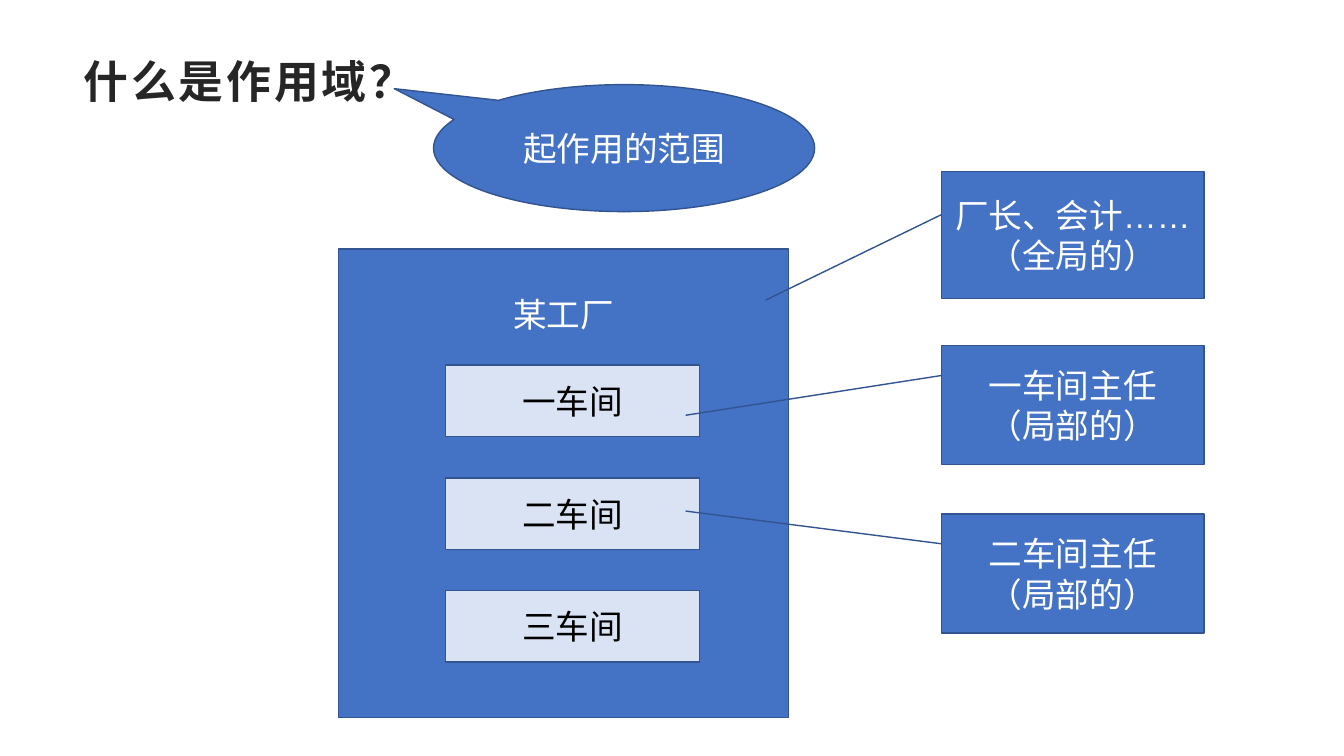
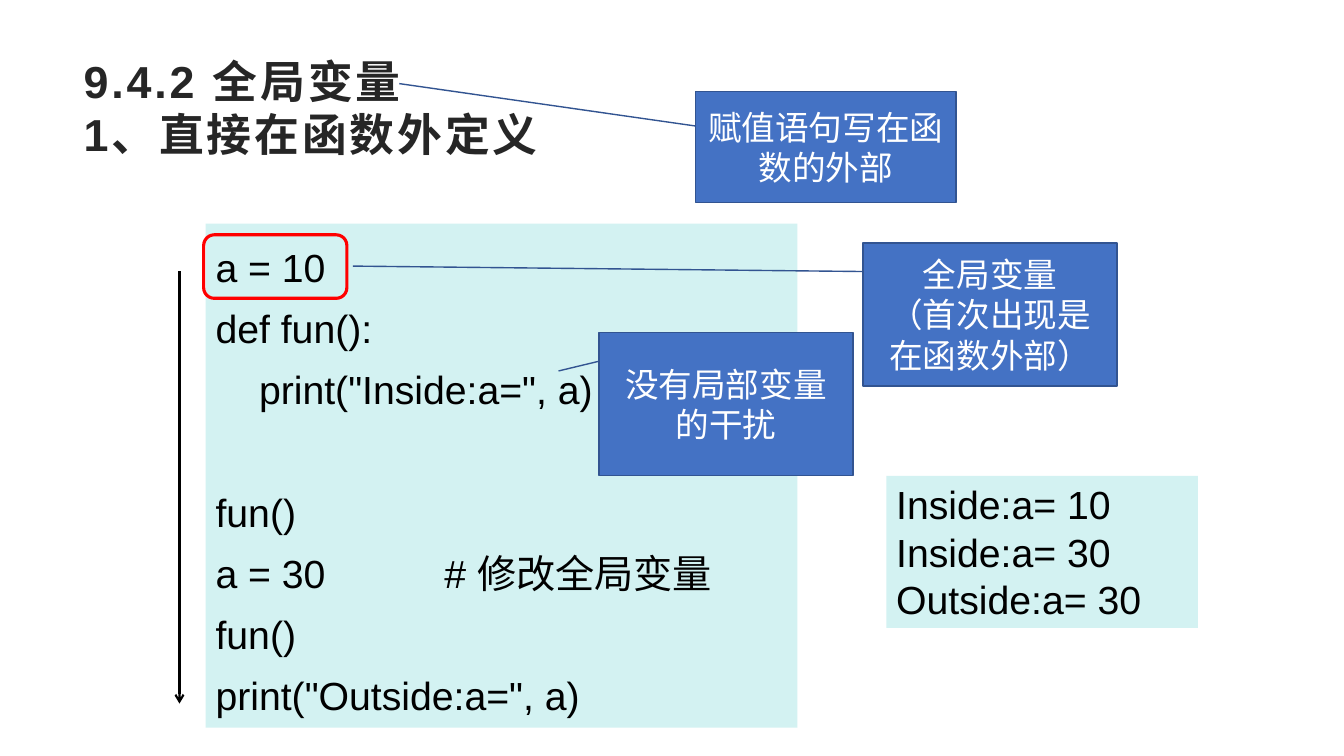
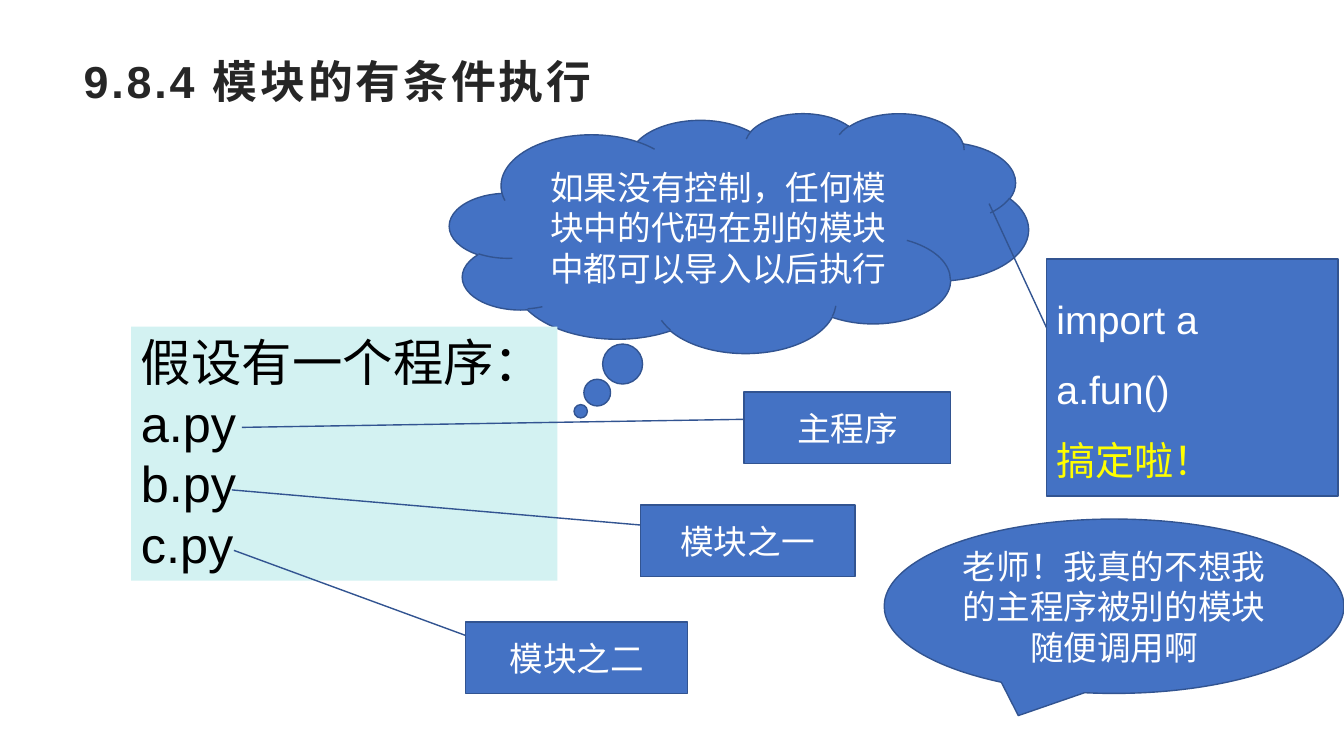
from dataclasses import dataclass

from lxml import etree
from pptx import Presentation
from pptx import util as u
from pptx.dml.color import RGBColor
from pptx.enum import shapes, text
from pptx.oxml import ns


@dataclass(frozen=True)
class Theme:
    font: str = "Arial"
    title: str = "262626"
    blue: str = "4472C4"
    edge: str = "325491"
    pale: str = "DAE3F3"
    mint: str = "D3F2F2"
    white: str = "FFFFFF"
    black: str = "000000"
    red: str = "FF0000"
    yellow: str = "FFFF00"
    title_size: int = 32
    label_size: int = 24
    code_size: int = 28
    list_size: int = 36


THEME = Theme()
SHAPE = shapes.MSO_SHAPE
LEFT, CENTER = text.PP_ALIGN.LEFT, text.PP_ALIGN.CENTER
TOP, MIDDLE = text.MSO_ANCHOR.TOP, text.MSO_ANCHOR.MIDDLE
PAGE_SIZE = (13.33, 7.5)
TITLE_BOX = (0.73, 0.48, 11.87, 0.74)

# Boxes are left, top, width, height; tips are the points that callouts aim at.
SCOPE_TITLE = ["什么是作用域？"]
SCOPE_BUBBLE = (["起作用的范围"], (4.3, 0.84, 3.78, 1.26), (3.91, 0.88))
FACTORY = (["某工厂"], (3.36, 2.47, 4.46, 4.65))
WORKSHOPS = ["一车间", "二车间", "三车间"]
WORKSHOP_BOX, WORKSHOP_STEP = (4.42, 3.62, 2.52, 0.71), 1.12
# Line callouts: text, box, tip, start of the line as a share of the height.
STAFF = [
    (["厂长、会计……", "（全局的）"], (9.34, 1.7, 2.6, 1.26), (7.59, 2.98), 0.34),
    (["一车间主任", "（局部的）"], (9.34, 3.43, 2.6, 1.18), (6.8, 4.12), 0.25),
    (["二车间主任", "（局部的）"], (9.34, 5.1, 2.6, 1.18), (6.8, 5.07), 0.25),
]

GLOBAL_TITLE = ["9.4.2 全局变量", "1、直接在函数外定义"]
CODE_BOX = (2.04, 2.22, 5.87, 5)
CODE_BEFORE = ["a = 10", "def fun():", '    print("Inside:a=", a)']
CODE_AFTER = ["fun()", "a = 30\t# 修改全局变量", "fun()", 'print("Outside:a=", a)']
CODE_GAP, COMMENT_TAB = 44, 2.27
OUTPUT = (["Inside:a= 10", "Inside:a= 30", "Outside:a= 30"], (8.79, 4.72, 3.09, 1.51))
FIRST_LINE_FRAME = (2.02, 2.33, 1.42, 0.63)
FLOW_X, FLOW_TOP, FLOW_BOTTOM = 1.78, 2.69, 6.98
REMARKS = [
    (["赋值语句写在函数的外部"], (6.9, 0.91, 2.58, 1.1), (3.96, 0.83), 0.31),
    (["全局变量", "（首次出现是在函数外部）"], (8.56, 2.41, 2.52, 1.42), (3.5, 2.64), 0.2),
    (["没有局部变量的干扰"], (5.94, 3.3, 2.52, 1.42), (5.54, 3.68), 0.2),
]

MODULE_TITLE = ["9.8.4 模块的有条件执行"]
CLOUD = (["如果没有控制，任何模块中的代码在别的模块中都可以导入以后执行"],
         (4.46, 1.12, 5.74, 2.38), (5.76, 4.08))
PLEA = (["老师！我真的不想我的主程序被别的模块随便调用啊"],
        (8.77, 5.15, 4.56, 1.73), (10.1, 7.1))
IMPORTING = (["import a", "a.fun()", "搞定啦！"],
             (10.38, 2.57, 2.89, 2.35), (9.81, 2.02), 0.29)
FILES = (["假设有一个程序：", "a.py", "b.py", "c.py"], (1.3, 3.24, 4.23, 2.52))
ROLES = [
    (["主程序"], (7.38, 3.89, 2.05, 0.71), (2.4, 4.24), 0.38),
    (["模块之一"], (6.35, 5.01, 2.13, 0.71), (2.3, 4.86), 0.28),
    (["模块之二"], (4.62, 6.17, 2.2, 0.71), (2.32, 5.46), 0.19),
]


def color(code):
    return RGBColor.from_string(code)


def style(span, size, ink):
    span.font.name = THEME.font
    span.font.size = u.Pt(size)
    span.font.color.rgb = color(ink)
    properties = span._r.get_or_add_rPr()
    etree.SubElement(properties, ns.qn("a:ea"), typeface=THEME.font)
    return properties


def write(shape, lines, size, ink, align=CENTER, anchor=MIDDLE, spacing=None):
    frame = shape.text_frame
    frame.word_wrap = True
    frame.vertical_anchor = anchor
    for index, line in enumerate(lines):
        para = frame.paragraphs[0] if index == 0 else frame.add_paragraph()
        para.alignment = align
        if spacing:
            para.line_spacing = spacing
        span = para.add_run()
        span.text = line
        style(span, size, ink)
    return frame.paragraphs


def add_box(page, kind, box, fill=None, line=None, weight=1):
    shape = page.shapes.add_shape(kind, *map(u.Inches, box))
    shape.shadow.inherit = False
    if fill:
        shape.fill.solid()
        shape.fill.fore_color.rgb = color(fill)
    else:
        shape.fill.background()
    if line:
        shape.line.color.rgb = color(line)
        shape.line.width = u.Pt(weight)
    else:
        shape.line.fill.background()
    return shape


def add_label(page, lines, box, kind=SHAPE.RECTANGLE, fill=THEME.blue,
              ink=THEME.white, size=THEME.label_size, **layout):
    shape = add_box(page, kind, box, fill, THEME.edge)
    write(shape, lines, size, ink, **layout)
    return shape


def add_panel(page, lines, box, size=THEME.code_size, spacing=None):
    shape = add_box(page, SHAPE.RECTANGLE, box, THEME.mint)
    return write(shape, lines, size, THEME.black, LEFT, TOP, spacing)


def add_bubble(page, lines, box, tip, kind=SHAPE.OVAL_CALLOUT):
    """Balloon whose tail is measured from its centre."""
    left, top, width, height = box
    shape = add_label(page, lines, box, kind)
    shape.adjustments[0] = (tip[0] - left) / width - 0.5
    shape.adjustments[1] = (tip[1] - top) / height - 0.5


def add_line_callout(page, lines, box, tip, start, **layout):
    """Box with a line from its left edge to the tip."""
    left, top, width, height = box
    shape = add_label(page, lines, box, SHAPE.LINE_CALLOUT_1, **layout)
    ends = (start, 0, (tip[1] - top) / height, (tip[0] - left) / width)
    for index, value in enumerate(ends):
        shape.adjustments[index] = value
    return shape


def add_down_arrow(page, x, top, bottom):
    arrow = page.shapes.add_connector(
        shapes.MSO_CONNECTOR.STRAIGHT, *map(u.Inches, (x, top, x, bottom)))
    arrow.line.color.rgb = color(THEME.black)
    arrow.line.width = u.Pt(1.5)
    etree.SubElement(arrow.line._get_or_add_ln(), ns.qn("a:tailEnd"), type="arrow")
    etree.SubElement(arrow._element.spPr, ns.qn("a:effectLst"))


def set_tab(para, position):
    tabs = etree.SubElement(para._p.get_or_add_pPr(), ns.qn("a:tabLst"))
    etree.SubElement(tabs, ns.qn("a:tab"), pos=str(u.Inches(position)), algn="l")


def new_page(deck, title_lines):
    page = deck.slides.add_slide(deck.slide_layouts.get_by_name("Title Only"))
    title = page.shapes.title
    title.left, title.top, title.width, title.height = map(u.Inches, TITLE_BOX)
    frame = title.text_frame
    frame.word_wrap = True
    frame.auto_size = text.MSO_AUTO_SIZE.NONE
    frame.vertical_anchor = TOP
    para = frame.paragraphs[0]
    para.alignment = LEFT
    for index, line in enumerate(title_lines):
        if index:
            para.add_line_break()
        span = para.add_run()
        span.text = line
        span.font.bold = True
        style(span, THEME.title_size, THEME.title).set("spc", "200")
    return page


def build_scope(deck):
    page = new_page(deck, SCOPE_TITLE)
    add_bubble(page, *SCOPE_BUBBLE)
    factory = add_label(page, *FACTORY, anchor=TOP)
    factory.text_frame.margin_top = u.Inches(0.45)
    left, top, width, height = WORKSHOP_BOX
    for row, name in enumerate(WORKSHOPS):
        add_label(page, [name], (left, top + row * WORKSHOP_STEP, width, height),
                  fill=THEME.pale, ink=THEME.black)
    for callout in STAFF:
        add_line_callout(page, *callout)


def build_global(deck):
    page = new_page(deck, GLOBAL_TITLE)
    paras = add_panel(page, CODE_BEFORE + CODE_AFTER, CODE_BOX, spacing=1.3)
    paras[len(CODE_BEFORE)].space_before = u.Pt(CODE_GAP)
    set_tab(paras[len(CODE_BEFORE) + 1], COMMENT_TAB)
    add_box(page, SHAPE.ROUNDED_RECTANGLE, FIRST_LINE_FRAME, line=THEME.red, weight=2.25)
    add_panel(page, *OUTPUT)
    add_down_arrow(page, FLOW_X, FLOW_TOP, FLOW_BOTTOM)
    for callout in REMARKS:
        add_line_callout(page, *callout)


def build_modules(deck):
    page = new_page(deck, MODULE_TITLE)
    add_bubble(page, *CLOUD, kind=SHAPE.CLOUD_CALLOUT)
    importing = add_line_callout(page, *IMPORTING, size=THEME.code_size,
                                 align=LEFT, spacing=1.5)
    cheer = importing.text_frame.paragraphs[-1].runs[0]
    cheer.font.color.rgb = color(THEME.yellow)
    add_bubble(page, *PLEA)
    add_panel(page, *FILES, size=THEME.list_size)
    for callout in ROLES:
        add_line_callout(page, *callout)


def main():
    deck = Presentation()
    deck.slide_width, deck.slide_height = map(u.Inches, PAGE_SIZE)
    for build in (build_scope, build_global, build_modules):
        build(deck)
    deck.save("out.pptx")


if __name__ == "__main__":
    main()
